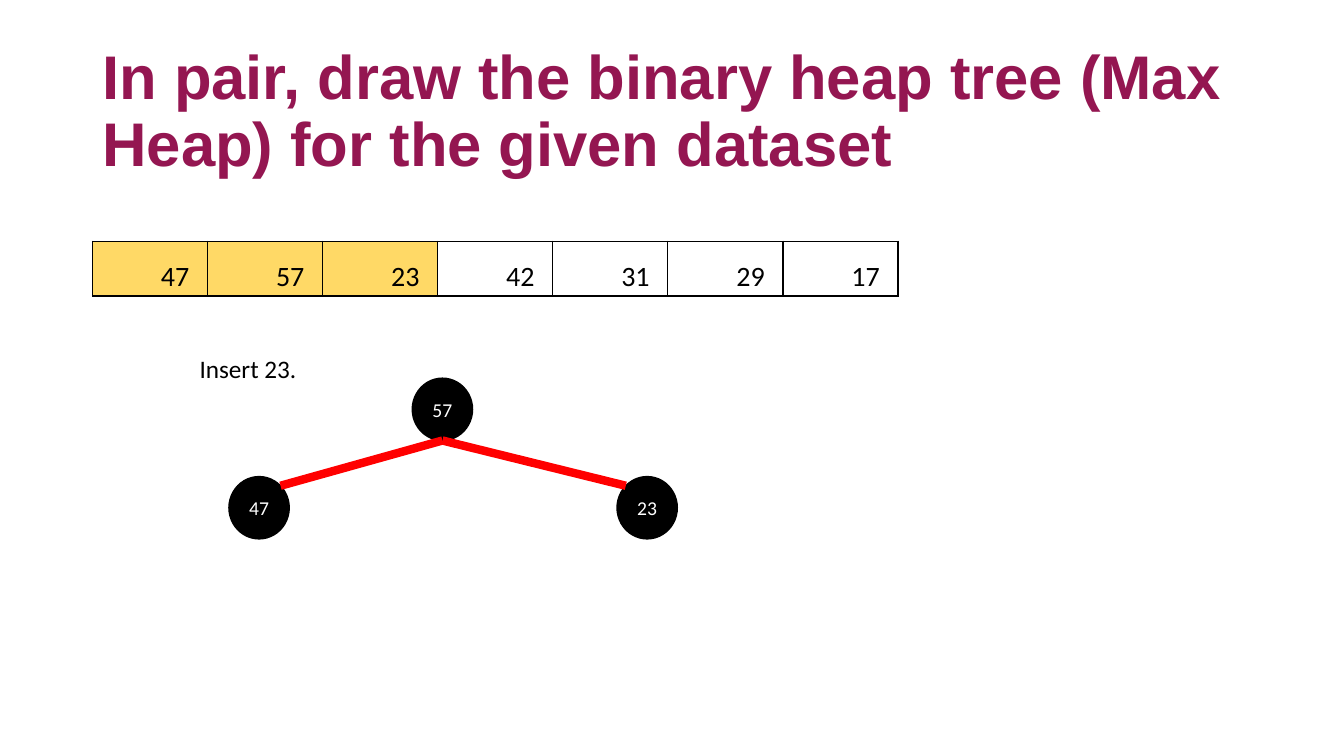
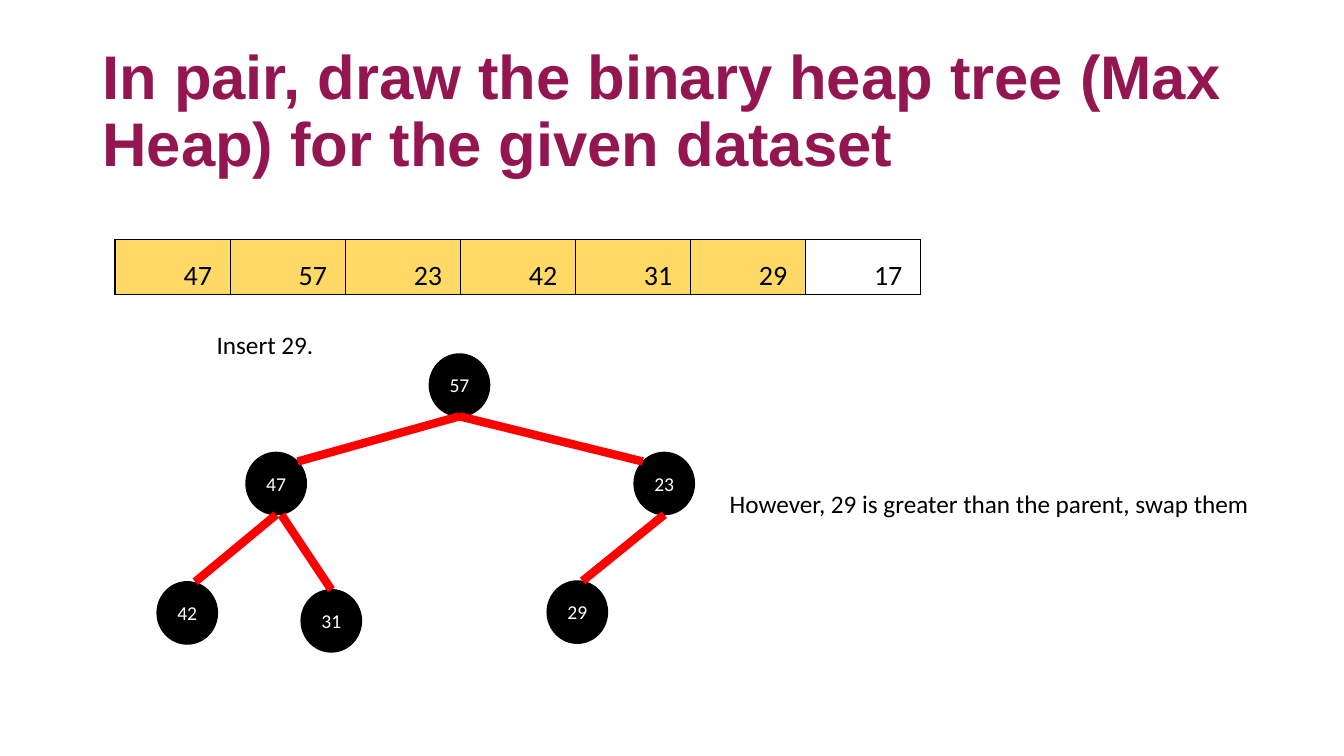
import pptx
import pptx.util
import pptx.dml.color
import pptx.enum.shapes
import pptx.enum.text
import pptx.oxml
import pptx.oxml.ns

Cm, Pt = pptx.util.Cm, pptx.util.Pt
RGBColor = pptx.dml.color.RGBColor
Align, Anchor = pptx.enum.text.PP_ALIGN, pptx.enum.text.MSO_ANCHOR

# Colours
BLACK = RGBColor(0x00, 0x00, 0x00)
WHITE = RGBColor(0xFF, 0xFF, 0xFF)
GOLD = RGBColor(0xFF, 0xD9, 0x66)
RED = RGBColor(0xFF, 0x00, 0x00)
PLUM = RGBColor(0x94, 0x16, 0x51)

# Shared content and sizes in cm
TITLE = "In pair, draw the binary heap tree (Max Heap) for the given dataset"
DATA = [47, 57, 23, 42, 31, 29, 17]
CELL_W, CELL_H = 2.9, 1.38
NODE_W, NODE_H = 1.52, 1.57

# Each child: parent, place from the root, link start from the parent's
# bottom centre (x), link end from the child's top centre (x, y)
CHILDREN = {
    47: (57, (-4.62, 2.48), 0, (0.54, 0.23)),
    23: (57, (5.16, 2.48), 0, (-0.54, 0.23)),
    42: (47, (-6.86, 5.74), 0, (0.2, 0)),
    31: (47, (-3.23, 5.94), 0.13, (0, 0)),
    29: (23, (2.97, 5.72), 0, (0.13, 0)),
}


def write(frame, words, size=18, color=BLACK, font="Calibri", bold=False,
          align=Align.LEFT, anchor=Anchor.TOP, lead=1.0):
    """Fill a text frame with one formatted paragraph."""
    frame.vertical_anchor = anchor
    par = frame.paragraphs[0]
    par.alignment, par.line_spacing = align, lead
    run = par.add_run()
    run.text = words
    run.font.size, run.font.name = Pt(size), font
    run.font.bold = bold
    run.font.color.rgb = color
    return par


def add_title(slide):
    box = slide.shapes.add_textbox(Cm(2.33), Cm(1.01), Cm(30.83), Cm(3.68))
    box.text_frame.word_wrap = True
    write(box.text_frame, TITLE, size=44, color=PLUM, font="Arial",
          bold=True, anchor=Anchor.MIDDLE, lead=0.9)


def add_note(slide, words, x, y, width):
    box = slide.shapes.add_textbox(Cm(x), Cm(y), Cm(width), Cm(1.02))
    box.text_frame.word_wrap = False
    box.text_frame.auto_size = pptx.enum.text.MSO_AUTO_SIZE.SHAPE_TO_FIT_TEXT
    write(box.text_frame, words)


def add_border(cell):
    """Draw a thin black line on all four sides of a cell."""
    props = cell._tc.get_or_add_tcPr()
    for spot, side in enumerate(("lnL", "lnR", "lnT", "lnB")):
        props.insert(spot, pptx.oxml.parse_xml(
            f'<a:{side} {pptx.oxml.ns.nsdecls("a")} w="{Pt(1)}"><a:solidFill>'
            f'<a:srgbClr val="{BLACK}"/></a:solidFill></a:{side}>'))


def add_array(slide, x, y, done):
    """Show the dataset in one row, the first values marked as done."""
    count = len(DATA)
    grid = slide.shapes.add_table(1, count, Cm(x), Cm(y),
                                  Cm(CELL_W * count), Cm(CELL_H)).table
    grid.first_row = grid.horz_banding = False
    for col, value in enumerate(DATA):
        grid.columns[col].width = Cm(CELL_W)
        cell = grid.cell(0, col)
        cell.margin_left = cell.margin_right = Cm(0.18)
        cell.margin_top = cell.margin_bottom = 0
        cell.vertical_anchor = Anchor.MIDDLE
        if col < done:
            cell.fill.solid()
            cell.fill.fore_color.rgb = GOLD
        else:
            cell.fill.background()
        par = write(cell.text_frame, str(value), size=20, align=Align.CENTER,
                    anchor=Anchor.MIDDLE, lead=1.5)
        par._p.get_or_add_pPr().set("marL", str(Cm(1.27)))
        add_border(cell)


def add_node(slide, value, x, y):
    node = slide.shapes.add_shape(pptx.enum.shapes.MSO_SHAPE.OVAL,
                                  Cm(x), Cm(y), Cm(NODE_W), Cm(NODE_H))
    node.shadow.inherit = False
    node.fill.solid()
    node.fill.fore_color.rgb = node.line.color.rgb = BLACK
    node.line.width = Pt(1)
    frame = node.text_frame
    frame.margin_left = frame.margin_right = 0
    write(frame, str(value), size=14, color=WHITE, align=Align.CENTER,
          anchor=Anchor.MIDDLE)
    return node


def add_link(slide, top, low, shift, end):
    """Join the bottom of one node to the upper rim of another."""
    line = slide.shapes.add_connector(
        pptx.enum.shapes.MSO_CONNECTOR.STRAIGHT,
        top.left + top.width // 2 + Cm(shift), top.top + top.height,
        low.left + low.width // 2 + Cm(end[0]), low.top + Cm(end[1]))
    if end == (0, 0):
        line.end_connect(low, 0)
    line.line.color.rgb = RED
    line.line.width = Pt(6)
    line._element.spPr.append(pptx.oxml.parse_xml(
        f'<a:effectLst {pptx.oxml.ns.nsdecls("a")}/>'))


def add_tree(slide, x, y, values):
    """Draw the heap with its root at x, y and the given children."""
    nodes = {57: add_node(slide, 57, x, y)}
    for value in values:
        parent, (dx, dy), shift, end = CHILDREN[value]
        nodes[value] = add_node(slide, value, x + dx, y + dy)
        add_link(slide, nodes[parent], nodes[value], shift, end)


def add_step(deck, array, root, done, values):
    """Build one slide that inserts the last of the done values."""
    slide = deck.slides.add_slide(deck.slide_layouts[6])
    add_title(slide)
    add_array(slide, *array, done)
    add_tree(slide, *root, values)
    add_note(slide, f"Insert {values[-1]}.", root[0] - 5.61, root[1] - 0.75, 2.97)
    return slide


def main():
    deck = pptx.Presentation()
    deck.slide_width, deck.slide_height = Cm(33.87), Cm(19.05)

    # Third value
    add_step(deck, (2.33, 6.08), (10.39, 9.53), 3, [47, 23])

    # Sixth value, larger than its parent
    slide = add_step(deck, (2.9, 6.04), (10.82, 8.92), 6, [47, 23, 42, 31, 29])
    add_note(slide, "However, 29 is greater than the parent, swap them",
             18.14, 12.17, 13.74)

    deck.save("out.pptx")


if __name__ == "__main__":
    main()
